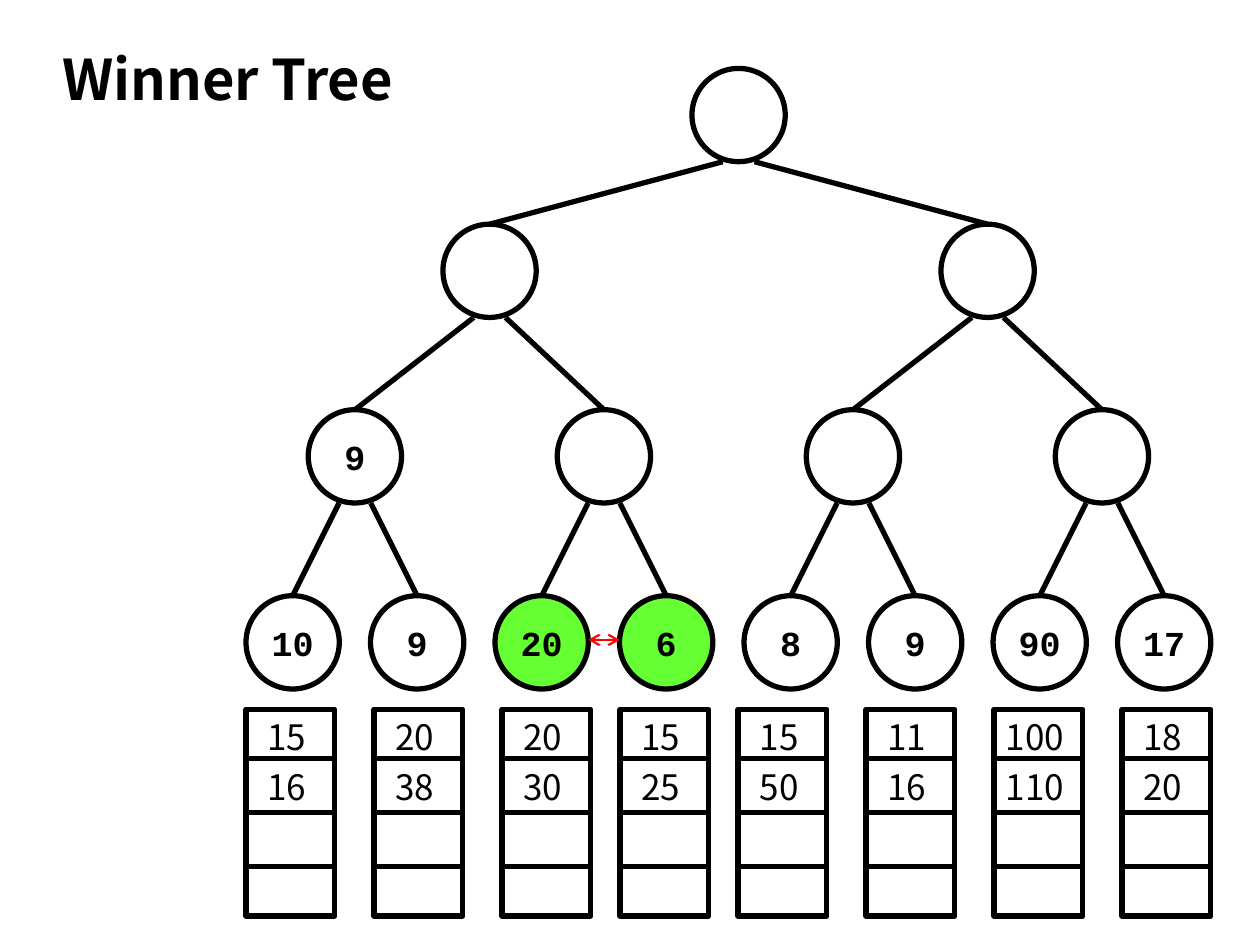
from lxml.etree import SubElement
from pptx import Presentation
from pptx.dml.color import RGBColor
from pptx.enum.shapes import MSO_CONNECTOR, MSO_SHAPE
from pptx.enum.text import MSO_ANCHOR, MSO_AUTO_SIZE, PP_ALIGN
from pptx.oxml.ns import qn
from pptx.util import Cm, Pt

BLACK = RGBColor(0x00, 0x00, 0x00)
GREEN = RGBColor(0x66, 0xFF, 0x33)
RED = RGBColor(0xFF, 0x00, 0x00)
BODY_FONT = "Noto Sans CJK KR"
NODE_FONT = "Courier New"

DIAMETER = 1.88
EDGE_SPREAD = 0.32
LEAF_LEFT, LEAF_STEP = 5.9, 2.51
LEVEL_TOPS = [1.38, 4.52, 8.26, 12.01]
INNER_CENTRES = [[14.89], [9.87, 19.91]]
LABELS = [
    [""],
    ["", ""],
    ["9", "", "", ""],
    ["10", "9", "20", "6", "8", "9", "90", "17"],
]
COMPARED = (2, 3)

QUEUE_TOP, QUEUE_WIDTH, QUEUE_HEIGHT = 14.3, 1.79, 4.17
DIVIDER_STEP = 1.09
QUEUE_LEFTS = [4.96, 7.54, 10.12, 12.5, 14.88, 17.46, 20.04, 22.62]
QUEUES = [
    ("15", "16"), ("20", "38"), ("20", "30"), ("15", "25"),
    ("15", "50"), ("11", "16"), ("100", "110"), ("18", "20"),
]


def write_text(shape, text, font=BODY_FONT, size=20, bold=False, align=PP_ALIGN.CENTER, inset=0):
    """Put one formatted line of text in a shape."""
    frame = shape.text_frame
    frame.auto_size = MSO_AUTO_SIZE.NONE
    frame.word_wrap = True
    frame.vertical_anchor = MSO_ANCHOR.MIDDLE
    frame.margin_left = frame.margin_right = Cm(inset)
    frame.margin_top = frame.margin_bottom = 0
    para = frame.paragraphs[0]
    para.alignment = align
    span = para.add_run()
    span.text = text
    span.font.name = font
    span.font.size = Pt(size)
    span.font.bold = bold
    span.font.color.rgb = BLACK


def add_outline(page, kind, left, top, width, height, fill=None):
    """Add a black-outlined preset shape, filled only on request."""
    shape = page.shapes.add_shape(kind, Cm(left), Cm(top), Cm(width), Cm(height))
    shape.shadow.inherit = False
    shape.line.color.rgb = BLACK
    shape.line.width = Pt(3)
    if fill is None:
        shape.fill.background()
    else:
        shape.fill.solid()
        shape.fill.fore_color.rgb = fill
    return shape


def add_line(page, start, end, color=BLACK, width=3, arrows=False):
    """Add a straight connector, with arrowheads at both ends on request."""
    line = page.shapes.add_connector(MSO_CONNECTOR.STRAIGHT, *map(Cm, start + end))
    line.line.color.rgb = color
    line.line.width = Pt(width)
    if arrows:
        for end_tag in ("a:headEnd", "a:tailEnd"):
            SubElement(line.line._get_or_add_ln(), qn(end_tag), type="arrow")
    SubElement(line._element.spPr, qn("a:effectLst"))
    return line


def add_title(page, text):
    """Place and format the title."""
    title = page.shapes.title
    title.left, title.top, title.width, title.height = Cm(1), Cm(0.75), Cm(8.53), Cm(1.63)
    write_text(title, text, size=32, bold=True, align=PP_ALIGN.LEFT, inset=0.25)


def add_node(page, centre, top, label, fill=None):
    """Add one circular tree node."""
    node = add_outline(page, MSO_SHAPE.OVAL, centre - DIAMETER / 2, top, DIAMETER, DIAMETER, fill)
    if label:
        write_text(node, label, font=NODE_FONT, bold=True)
    return node


def add_tree(page):
    """Draw every level of the tree and join each node to its parent."""
    leaves = [LEAF_LEFT + LEAF_STEP * i for i in range(8)]
    pairs = [(a + b) / 2 for a, b in zip(leaves[::2], leaves[1::2])]
    levels = INNER_CENTRES + [pairs, leaves]
    for depth, (centres, top) in enumerate(zip(levels, LEVEL_TOPS)):
        for i, centre in enumerate(centres):
            fill = GREEN if depth == 3 and i in COMPARED else None
            node = add_node(page, centre, top, LABELS[depth][i], fill)
            if depth:
                side = EDGE_SPREAD if i % 2 else -EDGE_SPREAD
                start = (levels[depth - 1][i // 2] + side, LEVEL_TOPS[depth - 1] + DIAMETER)
                edge = add_line(page, start, (centre, top))
                edge.end_connect(node, 0)
    first, second = (leaves[i] for i in COMPARED)
    middle = LEVEL_TOPS[-1] + DIAMETER / 2 - 0.05
    add_line(page, (first + DIAMETER / 2, middle), (second - DIAMETER / 2, middle),
             color=RED, width=1.25, arrows=True)


def add_queue(page, left, values):
    """Draw a four-cell queue with its waiting values."""
    frame = add_outline(page, MSO_SHAPE.RECTANGLE, left, QUEUE_TOP, QUEUE_WIDTH, QUEUE_HEIGHT)
    middle = QUEUE_TOP + QUEUE_HEIGHT / 2
    for step in (-1, 0, 1):
        height = middle + step * DIVIDER_STEP
        divider = add_line(page, (left, height), (left + QUEUE_WIDTH, height))
        if step == 0:
            divider.begin_connect(frame, 1)
            divider.end_connect(frame, 3)
    for top, value in zip((QUEUE_TOP, middle - DIVIDER_STEP), values):
        box = page.shapes.add_textbox(Cm(left - 0.07), Cm(top), Cm(QUEUE_WIDTH), Cm(1.11))
        write_text(box, value)


def main():
    """Build and save the deck."""
    deck = Presentation()
    deck.slide_width, deck.slide_height = Cm(25.4), Cm(19.05)
    page = deck.slides.add_slide(deck.slide_layouts[5])
    add_title(page, "Winner Tree")
    add_tree(page)
    for left, values in zip(QUEUE_LEFTS, QUEUES):
        add_queue(page, left, values)
    deck.save("out.pptx")


if __name__ == "__main__":
    main()
